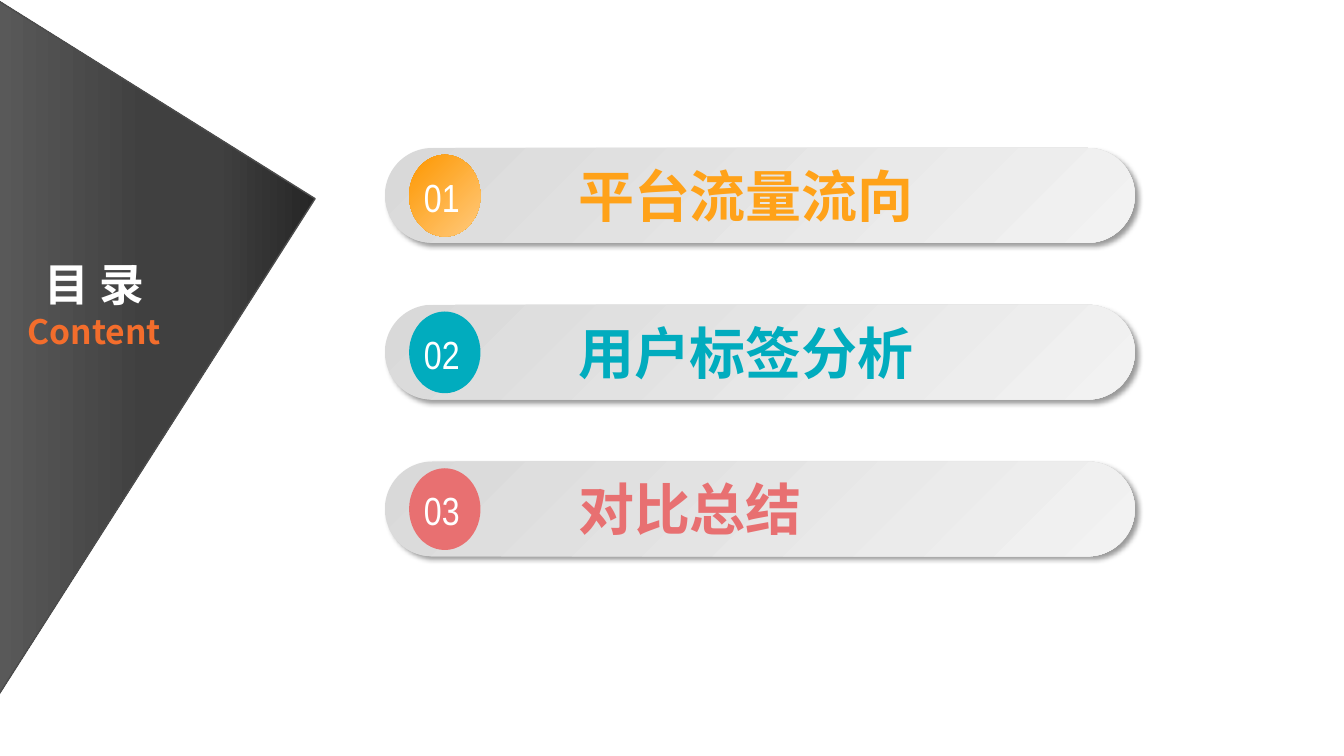
"""Build a contents slide with three numbered topic bars."""
from lxml.etree import SubElement
from pptx import Presentation
from pptx.dml.color import RGBColor
from pptx.enum.shapes import MSO_SHAPE
from pptx.enum.text import MSO_ANCHOR, MSO_AUTO_SIZE, PP_ALIGN
from pptx.oxml import parse_xml
from pptx.oxml.ns import nsdecls, qn
from pptx.util import Cm, Pt

WHITE = RGBColor(0xFF, 0xFF, 0xFF)
BLACK = RGBColor(0x00, 0x00, 0x00)
EDGE = RGBColor(0x4D, 0x4D, 0x4D)
AMBER = RGBColor(0xFF, 0xA2, 0x19)
TEAL = RGBColor(0x01, 0xAC, 0xBE)
CORAL = RGBColor(0xE8, 0x70, 0x71)
ORANGE = RGBColor(0xF3, 0x6D, 0x2C)
DARK = [(0, RGBColor(0x26, 0x26, 0x26)), (31, RGBColor(0x40, 0x40, 0x40)),
        (53, RGBColor(0x40, 0x40, 0x40)), (100, RGBColor(0x59, 0x59, 0x59))]
SILVER = [(0, RGBColor(0xD9, 0xD9, 0xD9)), (100, RGBColor(0xF2, 0xF2, 0xF2))]
GLOW = [(0, RGBColor(0xFE, 0x97, 0x00)), (100, RGBColor(0xFF, 0xCA, 0x7D))]
SANS = "Noto Sans CJK SC"
NARROW = "Arial Narrow"
TOPICS = [("平台流量流向", AMBER, GLOW), ("用户标签分析", TEAL, None),
          ("对比总结", CORAL, None)]
TOP, STEP = 3.73, 3.95


def add_form(shapes, kind, box):
    """Add a preset shape without outline or shadow."""
    form = shapes.add_shape(kind, *map(Cm, box))
    form.line.fill.background()
    form.shadow.inherit = False
    return form


def set_blend(form, stops, angle):
    """Fill a shape with a linear gradient."""
    marks = "".join(f'<a:gs pos="{pos * 1000}"><a:srgbClr val="{tone}"/></a:gs>'
                    for pos, tone in stops)
    blend = parse_xml(f'<a:gradFill {nsdecls("a")} rotWithShape="1">'
                      f'<a:gsLst>{marks}</a:gsLst>'
                      f'<a:lin ang="{angle * 60000}" scaled="0"/></a:gradFill>')
    form.fill.background()
    props = form._element.spPr
    props.replace(props.find(qn("a:noFill")), blend)


def add_shade(form):
    """Give a shape a soft shadow to the lower right."""
    effects = form._element.spPr.find(qn("a:effectLst"))
    shade = SubElement(effects, qn("a:outerShdw"), blurRad=str(Pt(4)),
                       dist=str(Pt(3)), dir="2700000", algn="tl", rotWithShape="0")
    tone = SubElement(shade, qn("a:srgbClr"), val=str(BLACK))
    SubElement(tone, qn("a:alpha"), val="40000")


def set_style(para, size, color, face, bold, align):
    """Format a paragraph and its runs."""
    para.alignment = align
    for run in para.runs:
        font = run.font
        font.size, font.bold, font.name = Pt(size), bold, face
        font.color.rgb = color
        SubElement(font._element, qn("a:ea"), typeface=face)


def add_label(shapes, box, text, *style):
    """Add a one-line text box."""
    frame = shapes.add_textbox(*map(Cm, box)).text_frame
    frame.word_wrap = True
    frame.auto_size = MSO_AUTO_SIZE.SHAPE_TO_FIT_TEXT
    frame.text = text
    set_style(frame.paragraphs[0], *style)


def add_wedge(slide):
    """Add the dark triangle pointing right."""
    wedge = add_form(slide.shapes, MSO_SHAPE.ISOSCELES_TRIANGLE,
                     (-4.8, 4.78, 17.5, 7.98))
    wedge.rotation = 90
    wedge.adjustments[0] = 0.285
    set_blend(wedge, DARK, 90)
    wedge.line.color.rgb = EDGE
    wedge.line.width = Pt(1)


def set_title(slide):
    """Place the two-line title on top of the triangle."""
    title = slide.shapes.title
    title.left, title.top, title.width, title.height = map(
        Cm, (0.33, 6.35, 4.09, 2.64))
    slide.shapes._spTree.append(title._element)
    frame = title.text_frame
    frame.text = "目 录\nContent"
    frame.word_wrap = True
    frame.vertical_anchor = MSO_ANCHOR.TOP
    frame.auto_size = MSO_AUTO_SIZE.NONE
    for para, size, color in zip(frame.paragraphs, (32, 24), (WHITE, ORANGE)):
        set_style(para, size, color, SANS, True, PP_ALIGN.CENTER)


def add_topic(slide, index, text, color, blend):
    """Add one bar with its numbered disc and heading."""
    shapes = slide.shapes.add_group_shape().shapes
    top = TOP + index * STEP
    bar = add_form(shapes, MSO_SHAPE.ROUNDED_RECTANGLE, (9.7, top, 18.9, 2.39))
    bar.adjustments[0] = 0.5
    set_blend(bar, SILVER, 45)
    add_shade(bar)
    disc = add_form(shapes, MSO_SHAPE.OVAL, (10.31, top + 0.17, 1.8, 2.06))
    if blend:
        set_blend(disc, blend, 45)
    else:
        disc.fill.solid()
        disc.fill.fore_color.rgb = color
    add_label(shapes, (10.31, top + 0.51, 1.65, 1.45), f"{index + 1:02}",
              28, WHITE, NARROW, False, PP_ALIGN.CENTER)
    add_label(shapes, (14.32, top + 0.21, 9.65, 1.96), text,
              40, color, SANS, True, PP_ALIGN.JUSTIFY)


def main():
    """Create the slide and save it."""
    deck = Presentation()
    deck.slide_width, deck.slide_height = Cm(33.87), Cm(19.05)
    slide = deck.slides.add_slide(deck.slide_layouts[5])
    add_wedge(slide)
    set_title(slide)
    for index, topic in enumerate(TOPICS):
        add_topic(slide, index, *topic)
    deck.save("out.pptx")


if __name__ == "__main__":
    main()
